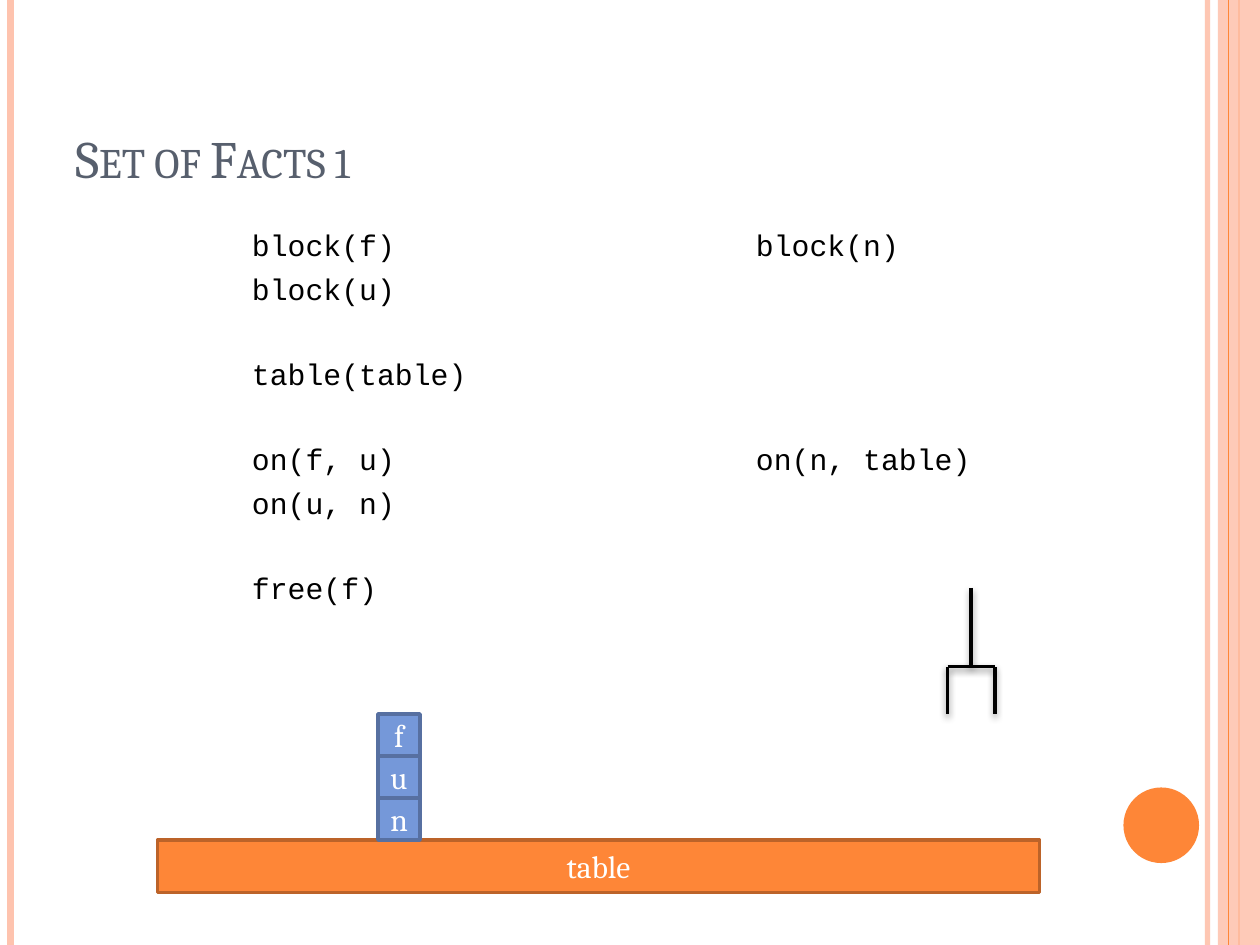
from lxml.etree import SubElement
from pptx import Presentation
from pptx.dml.color import RGBColor
from pptx.enum.shapes import MSO_CONNECTOR, MSO_SHAPE as SHAPE
from pptx.enum.text import MSO_ANCHOR as ANCHOR, PP_ALIGN as ALIGN
from pptx.oxml.ns import qn
from pptx.util import Inches, Pt

UNIT = 1 / 12  # the grid has 120 columns and 90 rows of a twelfth of an inch
ORANGE, PEACH, BLUE = "FE8637", "FEC3AE", "7598D9"


def grid(*units):
    """Turn grid units into slide lengths."""
    return [Inches(unit * UNIT) for unit in units]


def color(hex_string):
    """Turn a hex string into a colour."""
    return RGBColor.from_string(hex_string)


class Board:
    """Holds the style and the current slide."""

    serif, mono = "Cambria", "Courier New"

    def __init__(self, slide):
        """Start drawing on a slide."""
        self.slide = slide

    def style(self, paragraph, text, size, ink, face):
        """Fill one paragraph with text of one font."""
        paragraph.text = text
        font = paragraph.font
        font.size, font.name = Pt(size), face
        font.color.rgb = color(ink)
        return font

    def line(self, start, end, ink, width, opacity=100, shadow=False):
        """Draw a straight line between two grid points."""
        stroke = self.slide.shapes.add_connector(
            MSO_CONNECTOR.STRAIGHT, *grid(*start, *end))
        stroke.line.width = Pt(width)
        stroke.line.color.rgb = color(ink)
        self.fade(stroke.line.fill, opacity)
        effects = SubElement(stroke._element.spPr, qn("a:effectLst"))
        if shadow:
            outer = SubElement(effects, qn("a:outerShdw"), blurRad=str(Pt(4)),
                               dist=str(Pt(2)), dir="5400000", rotWithShape="0")
            black = SubElement(outer, qn("a:srgbClr"), val="000000")
            SubElement(black, qn("a:alpha"), val="40000")

    def fade(self, fill, opacity):
        """Make a solid fill partly transparent."""
        if opacity < 100:
            tint = fill._xPr.find(".//" + qn("a:srgbClr"))
            SubElement(tint, qn("a:alpha"), val=str(opacity * 1000))

    def shape(self, kind, box, fill, edge=None, label="", opacity=100):
        """Draw a filled preset shape, with an optional edge and label."""
        figure = self.slide.shapes.add_shape(kind, *grid(*box))
        figure.shadow.inherit = False
        figure.fill.solid()
        figure.fill.fore_color.rgb = color(fill)
        self.fade(figure.fill, opacity)
        if edge:
            figure.line.color.rgb = color(edge)
            figure.line.width = Pt(2)
        else:
            figure.line.fill.background()
        if label:
            frame = figure.text_frame
            frame.vertical_anchor = ANCHOR.MIDDLE
            frame.margin_left = frame.margin_right = 0
            frame.paragraphs[0].alignment = ALIGN.CENTER
            self.style(frame.paragraphs[0], label, 18, "FFFFFF", self.serif)

    def text_frame(self, box, anchor):
        """Add a wrapping text box and return its frame."""
        frame = self.slide.shapes.add_textbox(*grid(*box)).text_frame
        frame.word_wrap = True
        frame.vertical_anchor = anchor
        return frame

    def title(self, box, text):
        """Write the title in small capitals."""
        frame = self.text_frame(box, ANCHOR.BOTTOM)
        font = self.style(frame.paragraphs[0], text, 30, "575F6D", self.serif)
        font._rPr.set("cap", "small")

    def facts(self, box, groups, indent, column):
        """List groups of facts, with a tab stop for the second column."""
        frame = self.text_frame(box, ANCHOR.TOP)
        frame.margin_left = grid(indent)[0]
        paragraph = frame.paragraphs[0]
        for number, group in enumerate(groups):
            for row, fact in enumerate(group):
                if number or row:
                    paragraph = frame.add_paragraph()
                self.style(paragraph, fact, 17, "000000", self.mono)
                paragraph.space_before = Pt(28.3 if number and not row else 4.5)
                props = paragraph._p.pPr
                stops = SubElement(props, qn("a:tabLst"))
                SubElement(stops, qn("a:tab"), pos=str(grid(column)[0]), algn="l")
                props.find(qn("a:defRPr")).addprevious(stops)


deck = Presentation()
deck.slide_width, deck.slide_height = grid(120, 90)
board = Board(deck.slides.add_slide(deck.slide_layouts[6]))

# Side rails and the round badge
for rail, ink, width, opacity in [(115, PEACH, 3, 93), (1, PEACH, 4.5, 100),
                                  (118, ORANGE, 1.5, 100)]:
    board.line((rail, 0), (rail, 90), ink, width, opacity)
board.shape(SHAPE.RECTANGLE, (116, 0, 4, 90), PEACH, opacity=87)
board.line((117, 0), (117, 90), ORANGE, 0.75)
board.shape(SHAPE.OVAL, (107, 75, 7.2, 7.2), ORANGE)

board.title((6, 3.6, 98, 15), "Set of Facts 1")
board.facts((6, 21, 101, 64), [
    ["block(f)\tblock(n)", "block(u)"],
    ["table(table)"],
    ["on(f, u)\ton(n, table)", "on(u, n)"],
    ["free(f)"],
], indent=18, column=48)

# Table, gripper and the tower of blocks
board.shape(SHAPE.RECTANGLE, (15, 80, 84, 5), ORANGE, "BC6329", "table")
left, middle, right = 90.25, 92.5, 94.75
top, bar, tip = 56, 63.5, 68
for start, end in [((middle, top), (middle, bar)), ((left, bar), (right, bar)),
                   ((right, tip), (right, bar)), ((left, tip), (left, bar))]:
    board.line(start, end, "000000", 2, shadow=True)
side = 4
for level, block in enumerate("fun"):
    board.shape(SHAPE.RECTANGLE, (36, 68 + level * side, side, side),
                BLUE, "5770A1", block)

deck.save("out.pptx")
